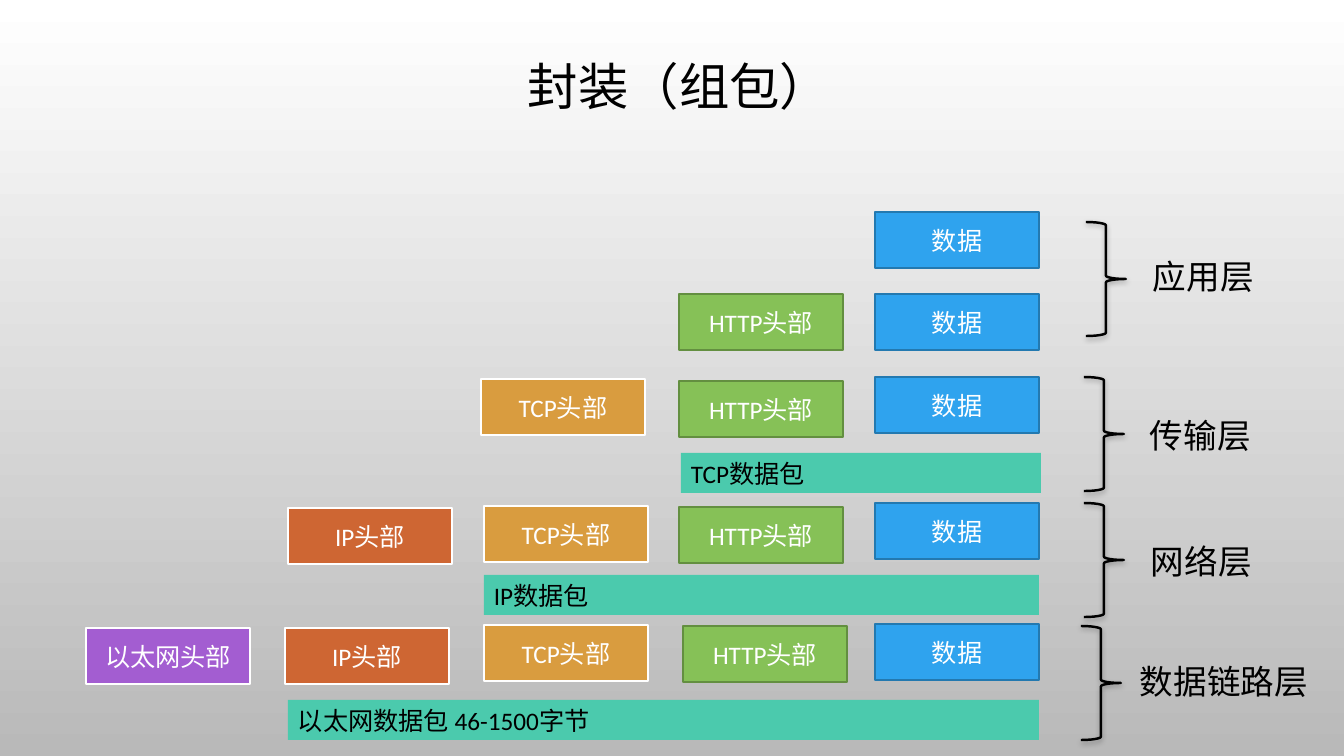
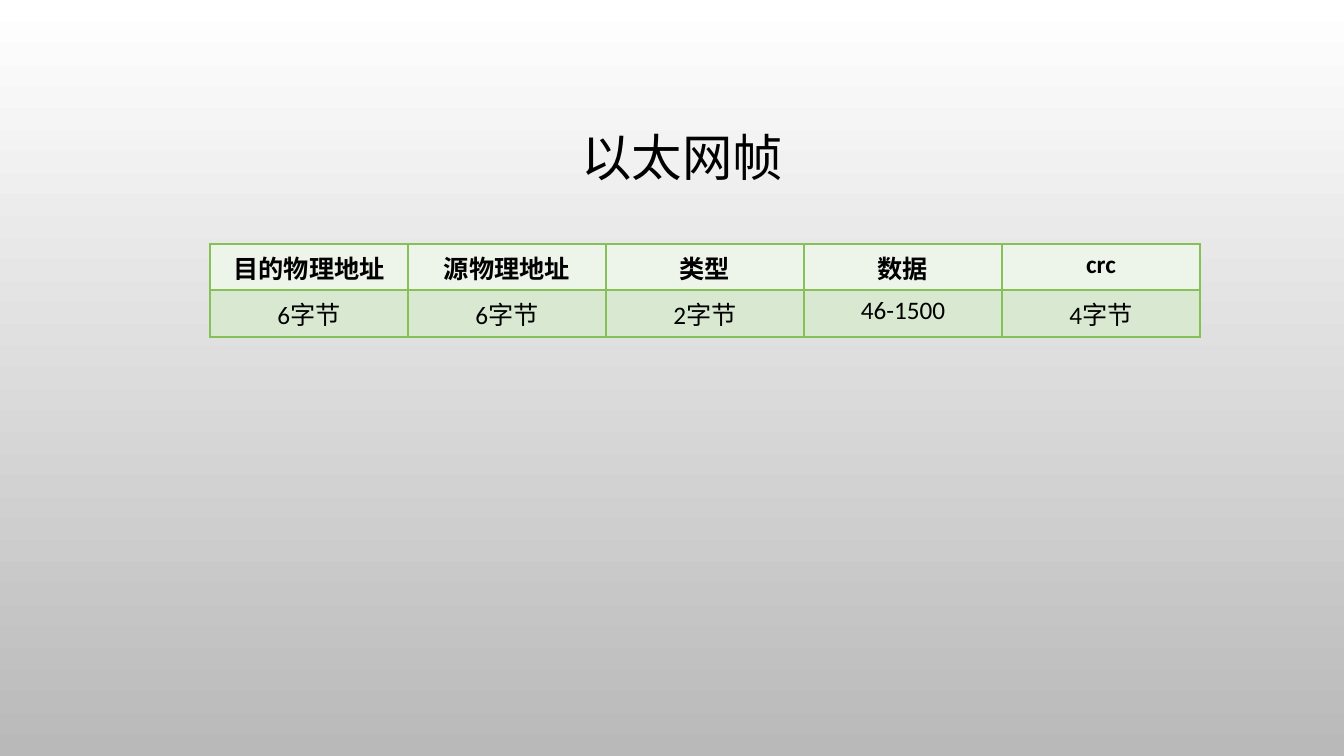
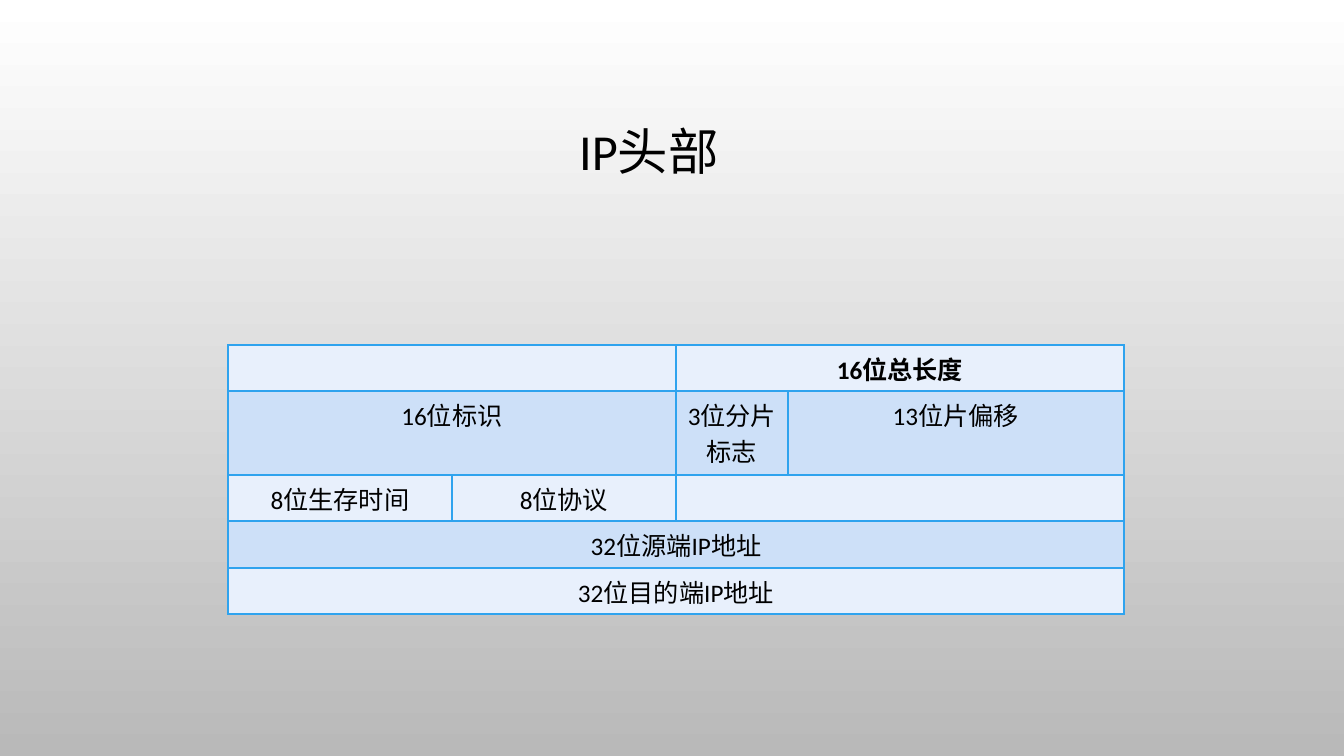
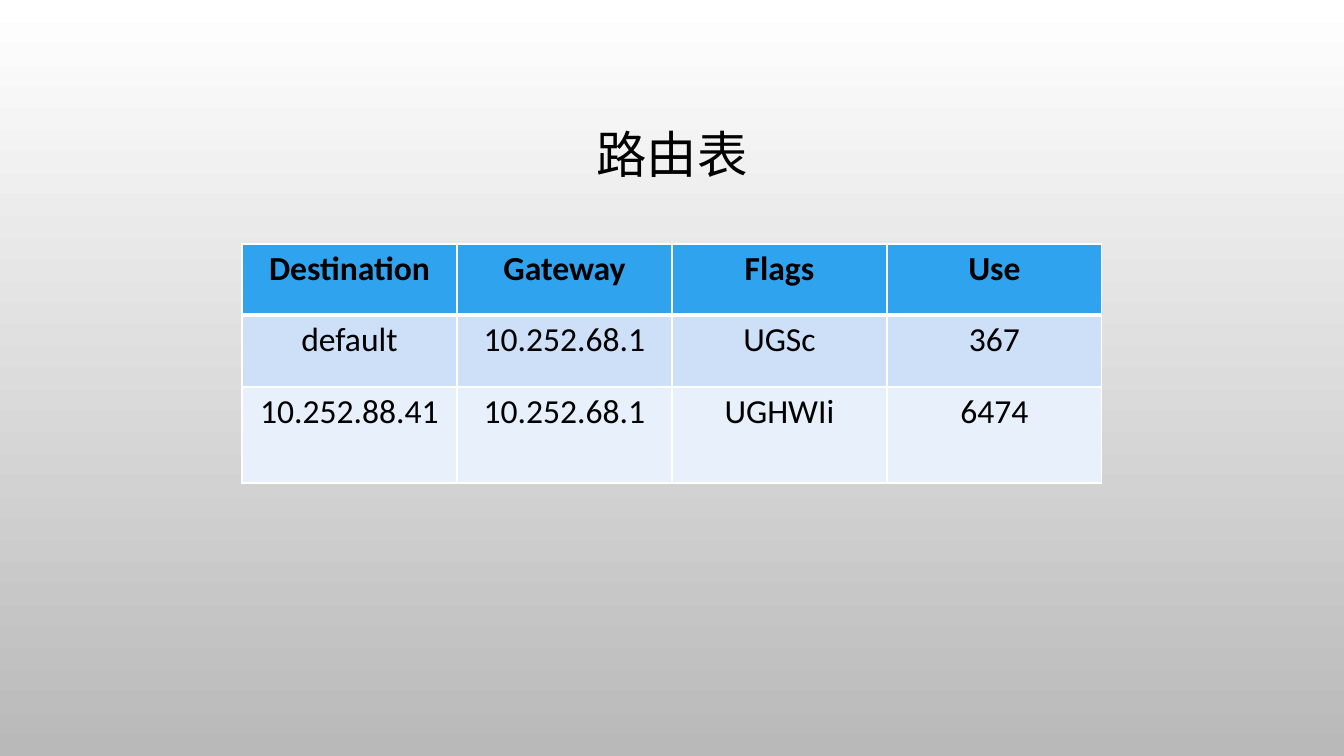
from dataclasses import dataclass

from lxml.etree import SubElement
from pptx import Presentation
from pptx.dml.color import RGBColor
from pptx.enum.dml import MSO_FILL
from pptx.enum.shapes import MSO_SHAPE
from pptx.enum.text import MSO_ANCHOR, MSO_AUTO_SIZE, PP_ALIGN
from pptx.oxml import parse_xml
from pptx.oxml.ns import nsdecls, qn
from pptx.util import Emu, Pt

# Shared measures and style
PAGE_WIDTH, PAGE_HEIGHT = 1344, 756
EMU_PER_PX = 12192000 / PAGE_WIDTH
FONT = "Calibri"
BLACK, WHITE = "000000", "FFFFFF"
BLUE, GREEN, TEAL = "2FA3EE", "86C157", "4BCAAD"
BLUE_BANDS = ("E8F0FC", "CDE0F8")
GREEN_BANDS = ("EDF4EA", "D9E9D1")
BLOCK_WIDTH, BLOCK_HEIGHT = 164, 56
BRACE_WIDTH, BRACE_HEIGHT = 40, 114


@dataclass(frozen=True)
class Block:
    """One kind of header block and every place where it stands."""
    label: str
    fill: str
    line: str
    line_width: float
    spots: tuple


@dataclass(frozen=True)
class Packet:
    label: str
    left: int
    top: int
    width: int


@dataclass(frozen=True)
class Layer:
    label: str
    label_left: int
    label_top: int
    label_width: int
    brace_left: int
    brace_top: int


@dataclass(frozen=True)
class Grid:
    """A table; each row lists (text, columns spanned)."""
    left: int
    top: int
    columns: tuple
    heights: tuple
    rows: tuple
    fills: tuple
    border: str
    size: int = 18
    header_rule: float = 1


BLOCKS = (
    Block("数据", BLUE, "2379B0", 1.25,
          ((875, 212), (875, 294), (875, 377), (875, 503), (875, 624))),
    Block("HTTP头部", GREEN, "638F40", 1.25,
          ((679, 294), (679, 381), (679, 507), (683, 626))),
    Block("TCP头部", "D99C3F", WHITE, 1.75, ((481, 379), (484, 506), (484, 625))),
    Block("IP头部", "CE6633", WHITE, 1.75, ((288, 508), (285, 628))),
    Block("以太网头部", "A35DD1", WHITE, 1.75, ((86, 628),)),
)
PACKETS = (
    Packet("以太网数据包 46-1500字节", 288, 700, 751),
    Packet("IP数据包", 484, 575, 555),
    Packet("TCP数据包", 681, 453, 360),
)
LAYERS = (
    Layer("应用层", 1143, 251, 122, 1086, 222),
    Layer("传输层", 1140, 410, 122, 1084, 377),
    Layer("网络层", 1141, 536, 122, 1084, 503),
    Layer("数据链路层", 1130, 656, 190, 1081, 626),
)


def singles(*texts: str) -> tuple:
    return tuple((text, 1) for text in texts)


ETHERNET_FRAME = Grid(
    210, 244, (198,) * 5, (46, 47),
    (singles("目的物理地址", "源物理地址", "类型", "数据", "crc"),
     singles("6字节", "6字节", "2字节", "46-1500", "4字节")),
    GREEN_BANDS, GREEN)
IP_HEADER = Grid(
    228, 345, (224, 224, 112, 336), (46, 84, 46, 47, 46),
    ((("", 2), ("16位总长度", 2)),
     (("16位标识", 2), ("3位分片标志", 1), ("13位片偏移", 1)),
     (("8位生存时间", 1), ("8位协议", 1), ("", 2)),
     (("32位源端IP地址", 4),),
     (("32位目的端IP地址", 4),)),
    BLUE_BANDS * 2 + BLUE_BANDS[:1], BLUE)
ROUTING_TABLE = Grid(
    242, 244, (215,) * 4, (71, 72, 96),
    (singles("Destination", "Gateway", "Flags", "Use"),
     singles("default", "10.252.68.1", "UGSc", "367"),
     singles("10.252.88.41", "10.252.68.1", "UGHWIi", "6474")),
    (BLUE,) + BLUE_BANDS[::-1], WHITE, size=24, header_rule=3)


def px(length: int) -> Emu:
    return Emu(round(length * EMU_PER_PX))


def color(value: str) -> RGBColor:
    return RGBColor.from_string(value)


def write(frame, text: str, size: int, ink: str = BLACK,
          align=PP_ALIGN.LEFT, bold: bool = False):
    """Fill the first paragraph of a text frame and style it."""
    para = frame.paragraphs[0]
    para.text = text
    para.alignment = align
    para.font.name, para.font.size, para.font.bold = FONT, Pt(size), bold
    para.font.color.rgb = color(ink)
    return para


def add_box(page, kind, left: int, top: int, width: int, height: int,
            fill: str = "", line: str = "", line_width: float = 1):
    box = page.shapes.add_shape(kind, px(left), px(top), px(width), px(height))
    box.shadow.inherit = False
    if fill:
        box.fill.solid()
        box.fill.fore_color.rgb = color(fill)
    else:
        box.fill.background()
    if line:
        box.line.color.rgb = color(line)
        box.line.width = Pt(line_width)
    else:
        box.line.fill.background()
    return box


def add_title(page, text: str, left: int, top: int, height: int = 176) -> None:
    box = page.shapes.add_textbox(px(left), px(top), px(1142), px(height))
    box.text_frame.word_wrap = True
    box.text_frame.vertical_anchor = MSO_ANCHOR.MIDDLE
    write(box.text_frame, text, 36, align=PP_ALIGN.CENTER).line_spacing = 0.9


def add_blocks(page, block: Block) -> None:
    for left, top in block.spots:
        box = add_box(page, MSO_SHAPE.RECTANGLE, left, top, BLOCK_WIDTH, BLOCK_HEIGHT,
                      block.fill, block.line, block.line_width)
        box.text_frame.vertical_anchor = MSO_ANCHOR.MIDDLE
        write(box.text_frame, block.label, 18, WHITE, PP_ALIGN.CENTER)


def add_packet(page, packet: Packet) -> None:
    box = add_box(page, MSO_SHAPE.RECTANGLE, packet.left, packet.top, packet.width, 40, TEAL)
    box.text_frame.vertical_anchor = MSO_ANCHOR.TOP
    box.text_frame.auto_size = MSO_AUTO_SIZE.SHAPE_TO_FIT_TEXT
    write(box.text_frame, packet.label, 18)


def add_layer(page, layer: Layer) -> None:
    brace = add_box(page, MSO_SHAPE.RIGHT_BRACE, layer.brace_left, layer.brace_top,
                    BRACE_WIDTH, BRACE_HEIGHT, line=BLACK, line_width=1.75)
    # Soft shadow below the brace
    effects = brace._element.spPr.find(qn("a:effectLst"))
    effects.append(parse_xml(
        f'<a:outerShdw {nsdecls("a")} blurRad="{Pt(4)}" dist="{Pt(2)}" dir="5400000">'
        f'<a:srgbClr val="{BLACK}"><a:alpha val="28000"/></a:srgbClr></a:outerShdw>'))
    label = page.shapes.add_textbox(px(layer.label_left), px(layer.label_top),
                                    px(layer.label_width), px(50))
    label.text_frame.word_wrap = False
    label.text_frame.auto_size = MSO_AUTO_SIZE.SHAPE_TO_FIT_TEXT
    write(label.text_frame, layer.label, 24)


def set_borders(cell, line: str, widths: dict) -> None:
    """Draw cell borders; widths maps L, R, T and B to points."""
    properties = cell._tc.get_or_add_tcPr()
    for index, (side, width) in enumerate(widths.items()):
        border = SubElement(properties, qn(f"a:ln{side}"), w=str(Pt(width)))
        SubElement(SubElement(border, qn("a:solidFill")), qn("a:srgbClr"), val=line)
        properties.insert(index, border)


def add_grid(page, grid: Grid) -> None:
    table = page.shapes.add_table(
        len(grid.rows), len(grid.columns), px(grid.left), px(grid.top),
        px(sum(grid.columns)), px(sum(grid.heights))).table
    for column, width in zip(table.columns, grid.columns):
        column.width = px(width)
    for index, (entries, height, fill) in enumerate(zip(grid.rows, grid.heights, grid.fills)):
        table.rows[index].height = px(height)
        rules = {"L": 1, "R": 1,
                 "T": grid.header_rule if index == 1 else 1,
                 "B": grid.header_rule if index == 0 else 1}
        for cell in table.rows[index].cells:
            cell.fill.solid()
            cell.fill.fore_color.rgb = color(fill)
            set_borders(cell, grid.border, rules)
        start = 0
        for text, span in entries:
            cell = table.cell(index, start)
            if span > 1:
                cell.merge(table.cell(index, start + span - 1))
            write(cell.text_frame, text, grid.size, align=PP_ALIGN.CENTER, bold=index == 0)
            start += span


def set_background(deck) -> None:
    """Give the master a gradient from white down to grey."""
    fill = deck.slide_master.background.fill
    if fill.type != MSO_FILL.GRADIENT:
        fill.gradient()
    fill.gradient_angle = 270
    for stop, shade in zip(fill.gradient_stops, (WHITE, "B9B9B9")):
        stop.color.rgb = color(shade)


def main() -> None:
    deck = Presentation()
    deck.slide_width, deck.slide_height = px(PAGE_WIDTH), px(PAGE_HEIGHT)
    set_background(deck)
    blank = deck.slide_layouts[6]

    # Encapsulation diagram
    page = deck.slides.add_slide(blank)
    add_title(page, "封装（组包）", 108, 48, 82)
    for block in BLOCKS:
        add_blocks(page, block)
    for packet in PACKETS:
        add_packet(page, packet)
    for layer in LAYERS:
        add_layer(page, layer)

    # Table pages
    for title, left, top, grid in (
            ("以太网帧", 111, 72, ETHERNET_FRAME),
            ("IP头部", 78, 66, IP_HEADER),
            ("路由表", 101, 69, ROUTING_TABLE)):
        page = deck.slides.add_slide(blank)
        add_title(page, title, left, top)
        add_grid(page, grid)

    deck.save("out.pptx")


if __name__ == "__main__":
    main()
